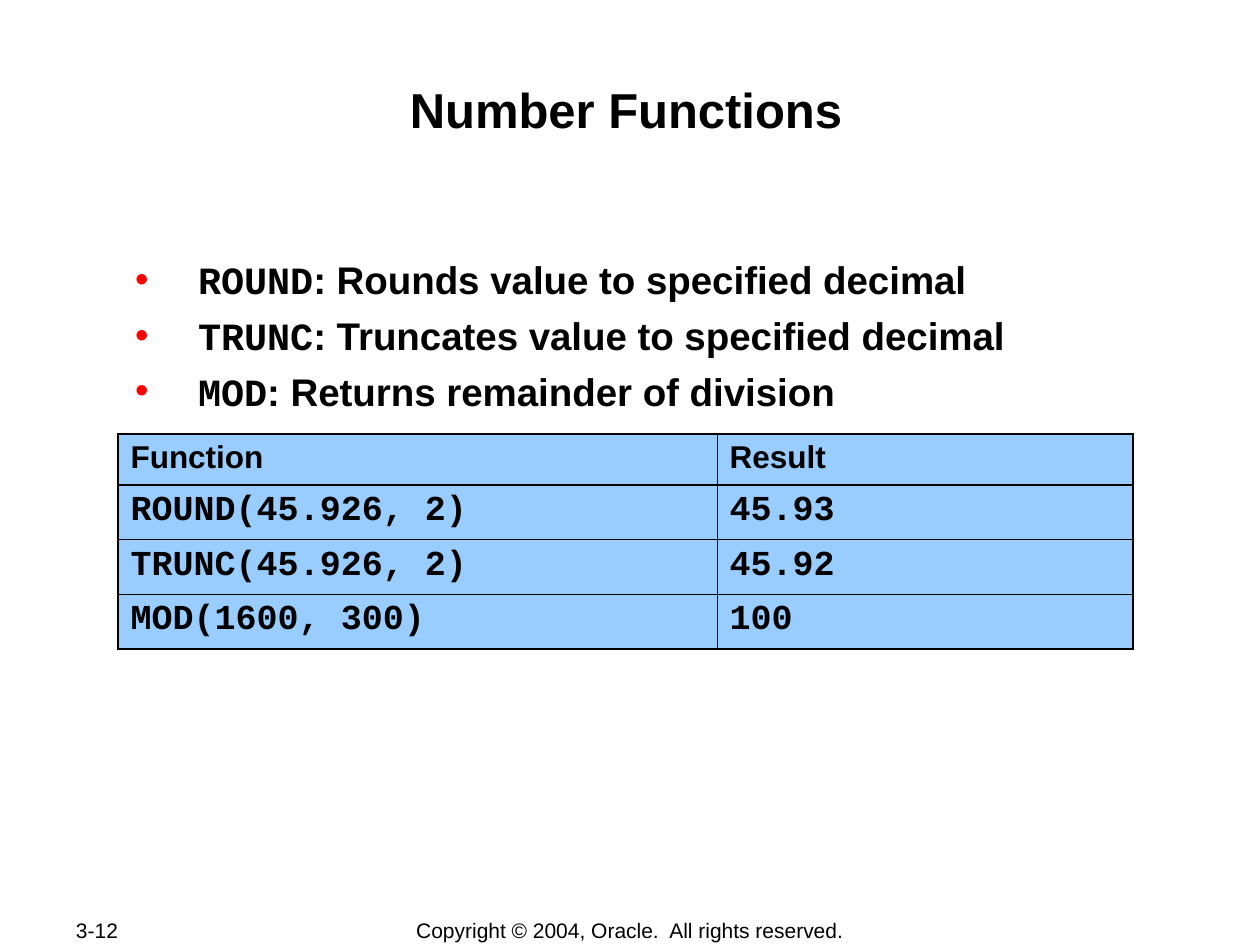
from lxml import etree
from pptx import Presentation
from pptx import util as u
from pptx.dml.color import RGBColor
from pptx.enum import text
from pptx.oxml.ns import qn

PX = 914400 // 126
SANS, MONO = "Arial", "Courier New"
BLACK, RED, BLUE = "000000", "FF0000", "99CCFF"
THICK, THIN = 1.08, 0.45

TITLE = "Number Functions"
FUNCTIONS = [
    ("ROUND", ": Rounds value to specified decimal"),
    ("TRUNC", ": Truncates value to specified decimal"),
    ("MOD", ": Returns remainder of division"),
]
EXAMPLES = [
    ("Function", "Result"),
    ("ROUND(45.926, 2)", "45.93"),
    ("TRUNC(45.926, 2)", "45.92"),
    ("MOD(1600, 300)", "100"),
]
COLUMNS = [599, 416]
ROWS = [51, 53, 53, 53]
FOOTERS = [
    ("3-12", (63, 917, 134, 26), text.PP_ALIGN.LEFT),
    ("Copyright © 2004, Oracle.  All rights reserved.", (347, 917, 566, 26), text.PP_ALIGN.CENTER),
]


def px(n):
    return u.Emu(n * PX)


def color(value):
    return RGBColor.from_string(value)


def style(run, size, face=SANS, bold=True):
    run.font.size = u.Pt(size)
    run.font.name = face
    run.font.bold = bold
    run.font.color.rgb = color(BLACK)


def add_box(slide, place, inset):
    frame = slide.shapes.add_textbox(*map(px, place)).text_frame
    frame.word_wrap = True
    frame.margin_left = frame.margin_right = px(inset[0])
    frame.margin_top = frame.margin_bottom = px(inset[1])
    return frame


def add_line(slide, content, place, inset, align, size, bold):
    frame = add_box(slide, place, inset)
    frame.text = content
    frame.paragraphs[0].alignment = align
    style(frame.paragraphs[0].runs[0], size, bold=bold)
    return frame


def add_bullet(paragraph):
    props = paragraph._p.get_or_add_pPr()
    props.set("marL", str(px(79)))
    props.set("indent", str(px(-63)))
    tint = etree.SubElement(props, qn("a:buClr"))
    etree.SubElement(tint, qn("a:srgbClr"), val=RED)
    etree.SubElement(props, qn("a:buFont"), typeface=SANS)
    etree.SubElement(props, qn("a:buChar"), char="•")


def add_borders(cell, widths):
    props = cell._tc.get_or_add_tcPr()
    for i, (side, width) in enumerate(widths.items()):
        line = etree.Element(qn("a:ln" + side), w=str(u.Pt(width)))
        fill = etree.SubElement(line, qn("a:solidFill"))
        etree.SubElement(fill, qn("a:srgbClr"), val=BLACK)
        props.insert(i, line)


def add_functions(slide):
    frame = add_box(slide, (118, 255, 1016, 161), (1, 1))
    for i, (name, meaning) in enumerate(FUNCTIONS):
        paragraph = frame.add_paragraph() if i else frame.paragraphs[0]
        add_bullet(paragraph)
        if i:
            paragraph.space_before = u.Pt(5.5)
        for words, face in ((name, MONO), (meaning, SANS)):
            run = paragraph.add_run()
            run.text = words
            style(run, 22, face)


def add_examples(slide):
    table = slide.shapes.add_table(
        len(ROWS), len(COLUMNS), px(118), px(434), px(sum(COLUMNS)), px(sum(ROWS))
    ).table
    for column, width in zip(table.columns, COLUMNS):
        column.width = px(width)
    for row, height in zip(table.rows, ROWS):
        row.height = px(height)
    last_row, last_column = len(ROWS) - 1, len(COLUMNS) - 1
    for r, example in enumerate(EXAMPLES):
        for c, words in enumerate(example):
            cell = table.cell(r, c)
            cell.text = words
            cell.fill.solid()
            cell.fill.fore_color.rgb = color(BLUE)
            size, face = (20, MONO) if r else (18, SANS)
            style(cell.text_frame.paragraphs[0].runs[0], size, face)
            heavy = {"L": c == 0, "R": c == last_column, "T": r < 2, "B": r in (0, last_row)}
            add_borders(cell, {side: THICK if on else THIN for side, on in heavy.items()})


def main():
    deck = Presentation()
    deck.slide_width, deck.slide_height = px(1260), px(945)
    slide = deck.slides.add_slide(deck.slide_layouts[6])
    for content, place, align in FOOTERS:
        footer = add_line(slide, content, place, (13, 6), align, 12, False)
        footer.vertical_anchor = text.MSO_ANCHOR.MIDDLE
    add_line(slide, TITLE, (122, 79, 1008, 115), (1, 1), text.PP_ALIGN.CENTER, 28, True)
    add_functions(slide)
    add_examples(slide)
    deck.save("out.pptx")


if __name__ == "__main__":
    main()
